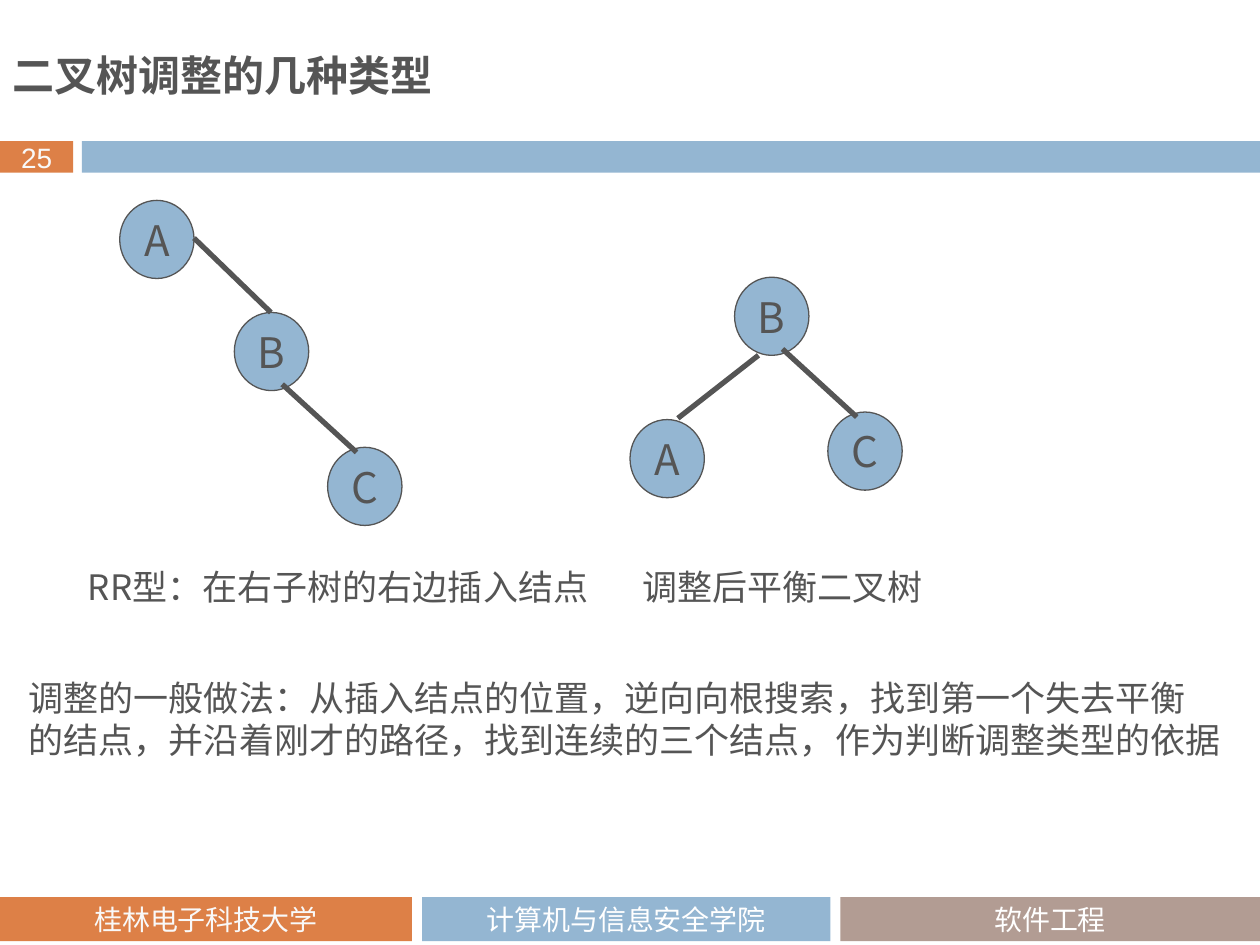
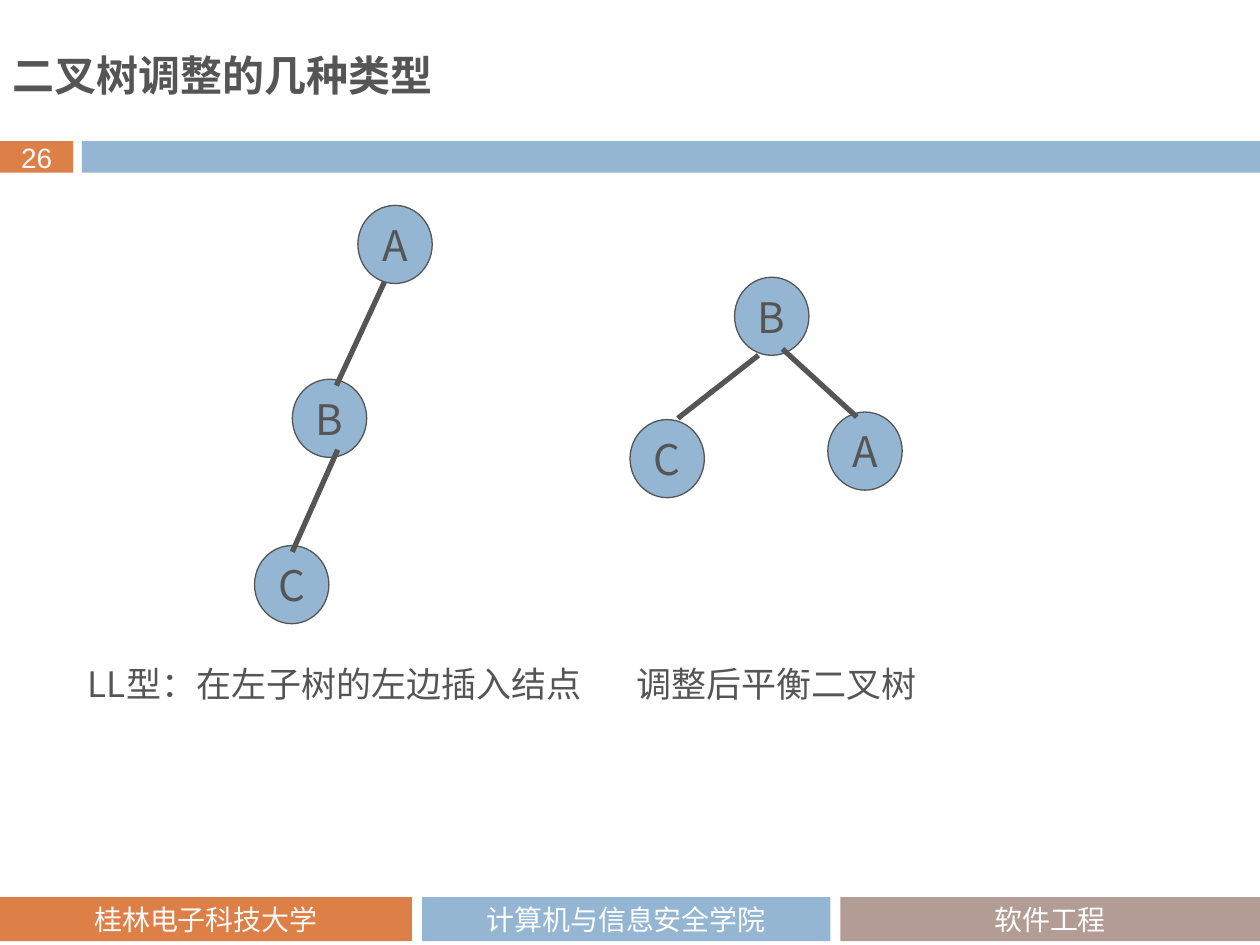
from lxml import etree
from pptx import Presentation
from pptx.dml.color import RGBColor
from pptx.enum.shapes import MSO_CONNECTOR, MSO_SHAPE
from pptx.enum.text import MSO_ANCHOR, PP_ALIGN
from pptx.oxml.ns import qn
from pptx.util import Inches, Pt

RECT, OVAL = MSO_SHAPE.RECTANGLE, MSO_SHAPE.OVAL
STRAIGHT = MSO_CONNECTOR.STRAIGHT
LEFT, CENTER = PP_ALIGN.LEFT, PP_ALIGN.CENTER
TOP, MIDDLE = MSO_ANCHOR.TOP, MSO_ANCHOR.MIDDLE

# Grid of 100 columns by 75 rows
WIDTH, HEIGHT = Inches(10), Inches(7.5)
COLS, ROWS = 100, 75
NODE_W, NODE_H = 5.9, 6.2

COLORS = {"accent": "DD8047", "blue": "94B6D2", "taupe": "B29C93",
          "text": "555555", "white": "FFFFFF", "pale": "F9F9F9"}
CJK = "Noto Sans CJK SC"
FORMATS = {
    "title": {"name": CJK, "size": Pt(24), "bold": True},
    "node": {"name": CJK, "size": Pt(24)},
    "body": {"name": CJK, "size": Pt(20)},
    "footer": {"name": "Calibri", "size": Pt(16)},
    "number": {"name": "Arial", "size": Pt(16)},
}

TITLE = "二叉树调整的几种类型"
FOOTERS = [  # left, width, fill, text colour, text
    (0, 32.7, "accent", "pale", "桂林电子科技大学"),
    (33.5, 32.4, "blue", "white", "计算机与信息安全学院"),
    (66.7, 33.3, "taupe", "white", "软件工程"),
]

# Trees: node corners from first to last, then edges
RR_TREE = ([(9.5, 15.9), (18.6, 24.8), (26, 35.5)],
           [(15.4, 18.9, 21.5, 24.8), (22.4, 30.5, 28.3, 35.9)])
LL_TREE = ([(28.4, 16.3), (23.2, 30.1), (20.2, 43.3)],
           [(30.5, 22.4, 26.7, 30.6), (26.8, 35.7, 23.2, 43.8)])
BALANCED_TREE = ([(50, 33.3), (58.3, 22), (65.7, 32.7)],
                 [(53.8, 33.2, 60.2, 28.2), (62.1, 27.7, 68, 33.1)])


def color(key):
    return RGBColor.from_string(COLORS[key])


class Deck:
    def __init__(self):
        self.prs = Presentation()
        self.prs.slide_width, self.prs.slide_height = WIDTH, HEIGHT
        self.s = None

    def grid(self, *lengths):
        """Turn alternating columns and rows into lengths."""
        units = (WIDTH / COLS, HEIGHT / ROWS)
        return [round(n * units[i % 2]) for i, n in enumerate(lengths)]

    def fill_text(self, sp, lines, style, ink="text", align=LEFT, anchor=TOP,
                  tab=None, spacing=None):
        tf = sp.text_frame
        tf.vertical_anchor = anchor
        for i, line in enumerate(lines):
            p = tf.paragraphs[0] if i == 0 else tf.add_paragraph()
            p.alignment = align
            if spacing:
                p.line_spacing = spacing
            if tab:
                tabs = etree.SubElement(p._p.get_or_add_pPr(), qn("a:tabLst"))
                etree.SubElement(tabs, qn("a:tab"), pos=str(self.grid(tab)[0]), algn="l")
            r = p.add_run()
            r.text = line
            for name, value in FORMATS[style].items():
                setattr(r.font, name, value)
            r.font.color.rgb = color(ink)
            etree.SubElement(r._r.get_or_add_rPr(), qn("a:ea"), typeface=CJK)

    def text(self, box, lines, style, wrap=False, **kw):
        sp = self.s.shapes.add_textbox(*self.grid(*box))
        sp.text_frame.word_wrap = wrap
        self.fill_text(sp, lines, style, **kw)

    def shape(self, kind, box, fill, label="", style="node", ink="text", outline=None):
        sp = self.s.shapes.add_shape(kind, *self.grid(*box))
        sp.shadow.inherit = False
        sp.fill.solid()
        sp.fill.fore_color.rgb = color(fill)
        if outline:
            sp.line.color.rgb = color(outline)
            sp.line.width = Pt(0.75)
        else:
            sp.line.fill.background()
        if label:
            tf = sp.text_frame
            for side in ("left", "right", "top", "bottom"):
                setattr(tf, f"margin_{side}", 0)
            self.fill_text(sp, [label], style, ink, CENTER, MIDDLE)

    def edge(self, ends):
        c = self.s.shapes.add_connector(STRAIGHT, *self.grid(*ends))
        c.line.color.rgb = color("text")
        c.line.width = Pt(3)
        etree.SubElement(c._element.spPr, qn("a:effectLst"))

    def tree(self, layout, letters):
        corners, edges = layout
        for corner, letter in zip(corners, letters):
            self.shape(OVAL, (*corner, NODE_W, NODE_H), "blue", letter, outline="text")
        for ends in edges:
            self.edge(ends)

    def caption(self, top, kind, tab):
        self.text((6, top, 70.3, 4.4), [f"{kind}\t调整后平衡二叉树"], "body",
                  wrap=True, tab=tab)

    def slide(self, number):
        self.s = self.prs.slides.add_slide(self.prs.slide_layouts[6])
        # Number band
        self.shape(RECT, (0, 11.2, 5.8, 2.5), "accent", str(number), "number", "pale")
        self.shape(RECT, (6.5, 11.2, 93.5, 2.5), "blue")
        # Footer bands
        for left, width, fill, ink, label in FOOTERS:
            self.shape(RECT, (left, 71.2, width, 3.5), fill, label, "footer", ink)
        # Title
        self.text((0, 3.3, 92.9, 6.6), [TITLE], "title", wrap=True, spacing=Pt(30))


def main():
    deck = Deck()

    # RR rotation
    deck.slide(25)
    deck.tree(RR_TREE, "ABC")
    deck.caption(44.4, "RR型：在右子树的右边插入结点", 44)
    deck.tree(BALANCED_TREE, "ABC")
    deck.text((1.3, 53.2, 97.4, 7.7),
              ["调整的一般做法：从插入结点的位置，逆向向根搜索，找到第一个失去平衡",
               "的结点，并沿着刚才的路径，找到连续的三个结点，作为判断调整类型的依据"],
              "body")

    # LL rotation
    deck.slide(26)
    deck.tree(LL_TREE, "ABC")
    deck.caption(52.1, "LL型：在左子树的左边插入结点", 43.5)
    deck.tree(BALANCED_TREE, "CBA")

    deck.prs.save("out.pptx")


if __name__ == "__main__":
    main()
